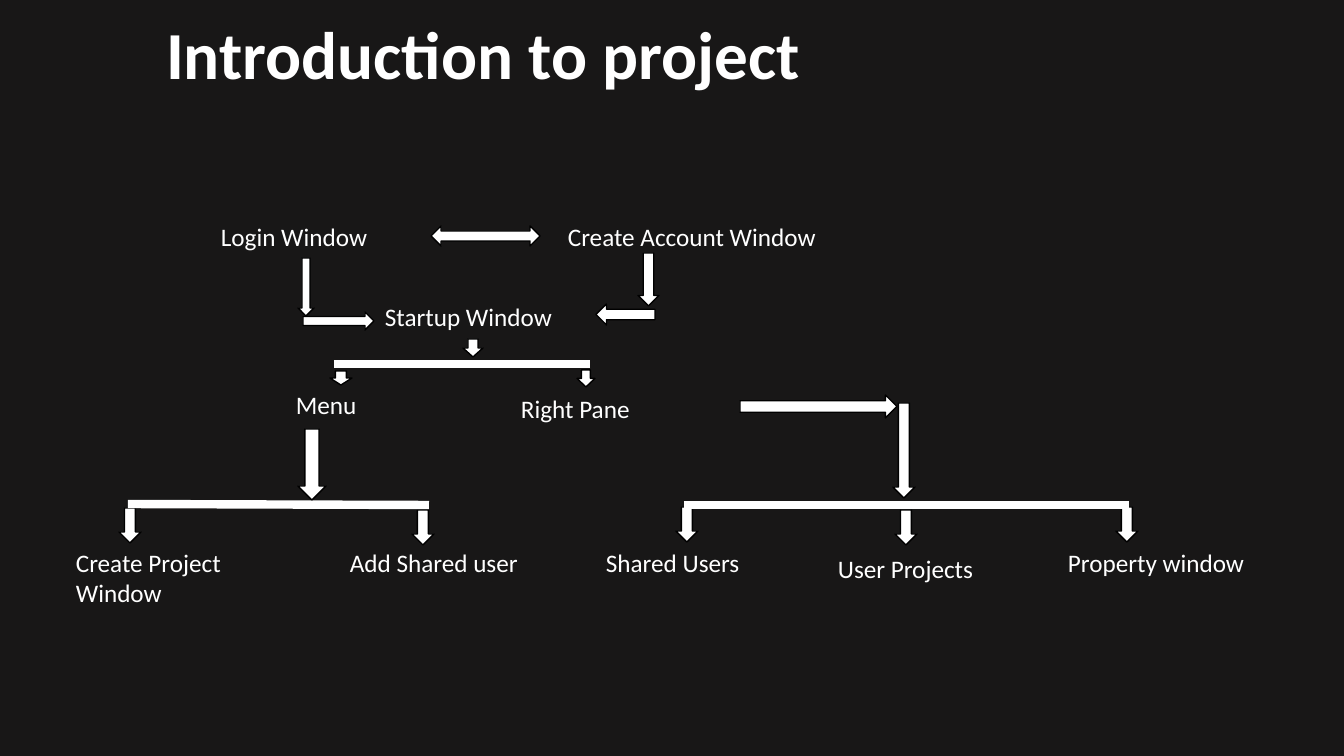
import pptx
import pptx.util
import pptx.dml.color
import pptx.enum.shapes
import pptx.enum.text
import pptx.oxml.ns
import lxml.etree

WHITE = pptx.dml.color.RGBColor(0xFF, 0xFF, 0xFF)
BLACK = pptx.dml.color.RGBColor(0, 0, 0)
DARK = pptx.dml.color.RGBColor(0x18, 0x17, 0x17)
KIND = pptx.enum.shapes.MSO_SHAPE
DOWN, RIGHT, LEFT = KIND.DOWN_ARROW, KIND.RIGHT_ARROW, KIND.LEFT_ARROW
SCALE = 914400 / 100.8


def px(*sizes):
    """Turn pixels into EMU."""
    return [round(size * SCALE) for size in sizes]


def write(frame, text, size=18, bold=False, gap=1.0,
          anchor=pptx.enum.text.MSO_ANCHOR.TOP,
          fit=pptx.enum.text.MSO_AUTO_SIZE.SHAPE_TO_FIT_TEXT):
    """Put formatted text into a text frame."""
    frame.word_wrap = True
    frame.auto_size = fit
    frame.vertical_anchor = anchor
    line = frame.paragraphs[0]
    line.alignment = pptx.enum.text.PP_ALIGN.LEFT
    line.line_spacing = gap
    run = line.add_run()
    run.text = text
    run.font.name = "Calibri"
    run.font.size = pptx.util.Pt(size)
    run.font.bold = bold
    run.font.color.rgb = WHITE


class Chart:
    """Flow chart style and the current slide."""

    def __init__(self, deck):
        """Add a dark slide with a title."""
        self.slide = deck.slides.add_slide(deck.slide_layouts[5])
        self.items = self.slide.shapes
        fill = self.slide.background.fill
        fill.solid()
        fill.fore_color.rgb = DARK

    def title(self, text, *box):
        """Move and fill the title."""
        head = self.items.title
        head.left, head.top, head.width, head.height = px(*box)
        write(head.text_frame, text, size=48, bold=True, gap=0.9,
              anchor=pptx.enum.text.MSO_ANCHOR.MIDDLE,
              fit=pptx.enum.text.MSO_AUTO_SIZE.NONE)

    def label(self, text, *box):
        """Add the name of a window."""
        write(self.items.add_textbox(*px(*box)).text_frame, text)

    def arrow(self, kind, *box):
        """Add a white block arrow."""
        shape = self.items.add_shape(kind, *px(*box))
        shape.shadow.inherit = False
        shape.fill.solid()
        shape.fill.fore_color.rgb = WHITE
        shape.line.color.rgb = BLACK
        shape.line.width = pptx.util.Pt(1)

    def bar(self, *ends):
        """Add a thick branch line."""
        line = self.items.add_connector(
            pptx.enum.shapes.MSO_CONNECTOR.STRAIGHT, *px(*ends))
        line.line.color.rgb = WHITE
        line.line.width = pptx.util.Pt(6)
        lxml.etree.SubElement(line._element.spPr,
                              pptx.oxml.ns.qn("a:effectLst"))


deck = pptx.Presentation()
deck.slide_width, deck.slide_height = px(1344, 756)
flow = Chart(deck)
flow.title("Introduction to project", 156, 24, 983, 68)

LABELS = [
    ("Login Window", 211, 216, 220, 40),
    ("Create Account Window", 558, 216, 329, 40),
    ("Startup Window", 375, 296, 220, 40),
    ("Menu", 286, 384, 107, 40),
    ("Right Pane", 511, 388, 220, 40),
    ("Create Project Window", 66, 542, 220, 72),
    ("Add Shared user", 340, 542, 190, 40),
    ("Shared Users", 596, 542, 220, 40),
    ("User Projects", 828, 548, 182, 40),
    ("Property window", 1058, 542, 198, 40),
]
for label in LABELS:
    flow.label(*label)

LEAVES = [(119, 508), (412, 510), (676, 507), (895, 510), (1116, 507)]
for left, top in LEAVES:
    flow.arrow(DOWN, left, top, 22, 35)

BARS = [(128, 504, 429, 505), (684, 505, 1129, 505), (334, 364, 590, 364)]
for ends in BARS:
    flow.bar(*ends)

ARROWS = [
    (KIND.LEFT_RIGHT_ARROW, 431, 226, 109, 20),
    (DOWN, 463, 339, 20, 18),
    (RIGHT, 303, 312, 71, 18),
    (LEFT, 596, 304, 59, 21),
    (DOWN, 298, 258, 16, 58),
    (DOWN, 638, 253, 21, 53),
    (RIGHT, 740, 395, 157, 23),
    (DOWN, 893, 403, 22, 95),
    (DOWN, 298, 429, 28, 71),
    (DOWN, 330, 371, 22, 14),
    (DOWN, 577, 370, 18, 17),
]
for arrow in ARROWS:
    flow.arrow(*arrow)

deck.save("out.pptx")
